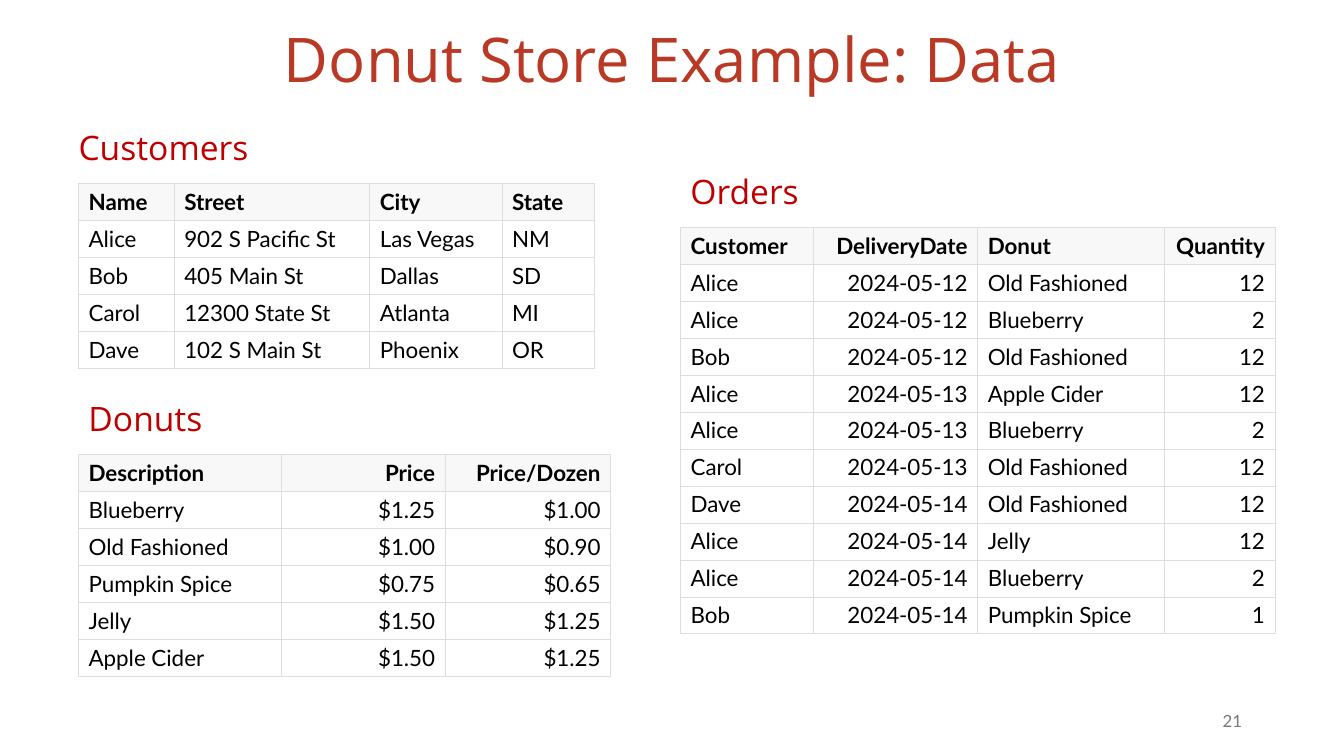
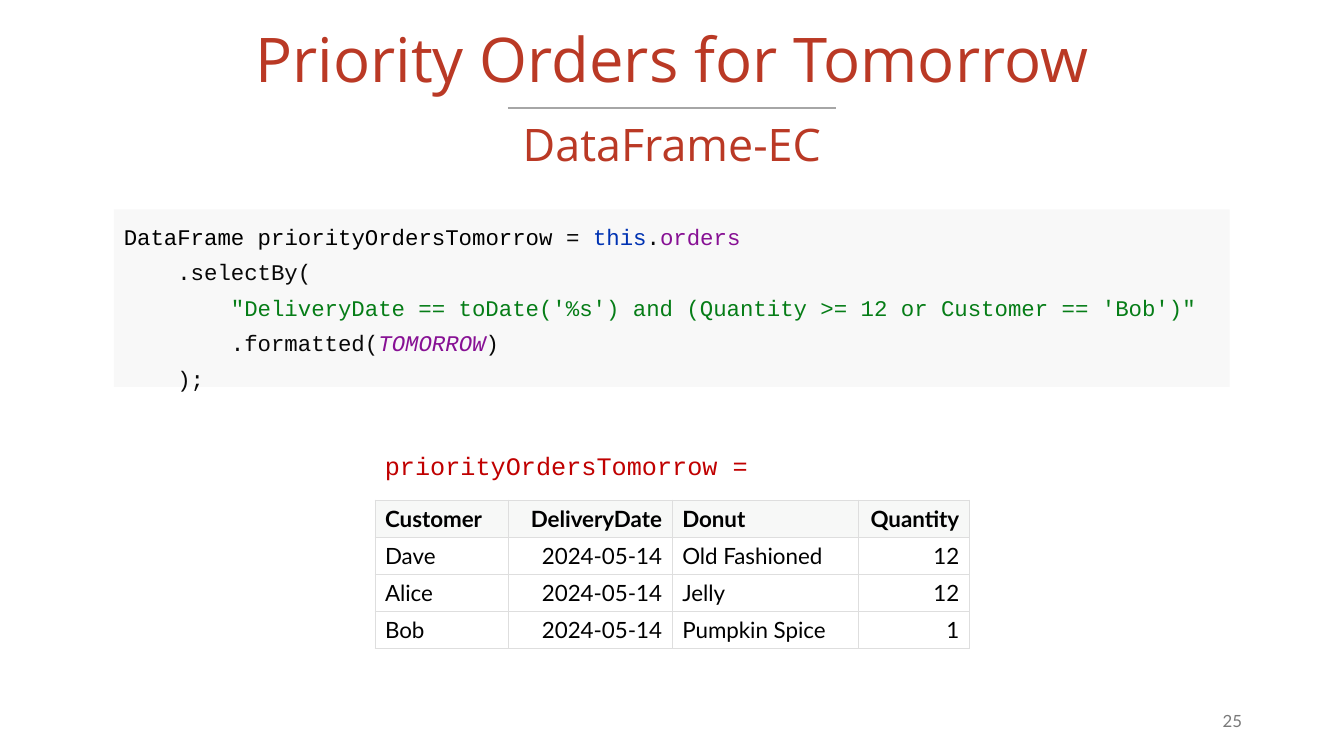
from dataclasses import dataclass

from lxml.etree import SubElement
from pptx import Presentation
from pptx.dml.color import RGBColor as Rgb
from pptx.enum.shapes import MSO_CONNECTOR as Connector, MSO_SHAPE as Shape
from pptx.enum.text import MSO_ANCHOR as Anchor, PP_ALIGN as Align
from pptx.oxml.ns import qn
from pptx.util import Cm, Pt


@dataclass(frozen=True)
class Theme:
    """Colours, fonts, type sizes and shared measures (in cm) of the deck."""
    title: str = "BA3925"
    caption: str = "C00000"
    text: str = "000000"
    page: str = "797979"
    rule: str = "A6A6A6"
    border: str = "DEDEDE"
    header_fill: str = "F7F8F7"
    body_fill: str = "FFFFFF"
    code_fill: str = "F8F8F8"
    plain: str = "080808"
    keyword: str = "0033B3"
    member: str = "871094"
    string: str = "067D17"
    display: str = "Open Sans"
    body: str = "Lato"
    mono: str = "Courier New"
    title_size: int = 44
    subtitle_size: int = 32
    caption_size: int = 24
    result_size: int = 18
    body_size: int = 16
    page_size: int = 12
    title_spacing: float = 0.9
    code_spacing: float = 1.32
    code_indent: float = 1.35
    row_height: float = 0.93
    border_width: float = 0.6


THEME = Theme()
ALIGNS = {"l": Align.LEFT, "c": Align.CENTER, "r": Align.RIGHT}
ORDER_COLUMNS = (3.35, 4.14, 4.7, 2.79)
ORDER_ALIGNS = "lrlr"
ORDER_HEADER = ("Customer", "DeliveryDate", "Donut", "Quantity")

CUSTOMERS = (
    ("Name", "Street", "City", "State"),
    ("Alice", "902 S Pacific St", "Las Vegas", "NM"),
    ("Bob", "405 Main St", "Dallas", "SD"),
    ("Carol", "12300 State St", "Atlanta", "MI"),
    ("Dave", "102 S Main St", "Phoenix", "OR"),
)
DONUTS = (
    ("Description", "Price", "Price/Dozen"),
    ("Blueberry", "$1.25", "$1.00"),
    ("Old Fashioned", "$1.00", "$0.90"),
    ("Pumpkin Spice", "$0.75", "$0.65"),
    ("Jelly", "$1.50", "$1.25"),
    ("Apple Cider", "$1.50", "$1.25"),
)
ORDERS = (
    ORDER_HEADER,
    ("Alice", "2024-05-12", "Old Fashioned", "12"),
    ("Alice", "2024-05-12", "Blueberry", "2"),
    ("Bob", "2024-05-12", "Old Fashioned", "12"),
    ("Alice", "2024-05-13", "Apple Cider", "12"),
    ("Alice", "2024-05-13", "Blueberry", "2"),
    ("Carol", "2024-05-13", "Old Fashioned", "12"),
    ("Dave", "2024-05-14", "Old Fashioned", "12"),
    ("Alice", "2024-05-14", "Jelly", "12"),
    ("Alice", "2024-05-14", "Blueberry", "2"),
    ("Bob", "2024-05-14", "Pumpkin Spice", "1"),
)
PRIORITY_ORDERS = (
    ORDER_HEADER,
    ("Dave", "2024-05-14", "Old Fashioned", "12"),
    ("Alice", "2024-05-14", "Jelly", "12"),
    ("Bob", "2024-05-14", "Pumpkin Spice", "1"),
)
CODE = (
    (0, (("DataFrame priorityOrdersTomorrow ", THEME.text), ("= ", THEME.plain),
         ("this", THEME.keyword), (".", THEME.plain), ("orders", THEME.member))),
    (1, ((".selectBy(", THEME.plain),)),
    (2, (("\"DeliveryDate == toDate('%s') and (Quantity >= 12 or Customer == 'Bob')\"",
          THEME.string),)),
    (2, ((".formatted(", THEME.plain), ("TOMORROW", THEME.member, True),
         (")", THEME.plain))),
    (1, ((");", THEME.plain),)),
)


def add_run(paragraph, words, font_name, size, color, bold=False, italic=False):
    """Append one formatted run to a paragraph."""
    run = paragraph.add_run()
    run.text = words
    font = run.font
    font.name, font.size = font_name, Pt(size)
    font.bold, font.italic = bold, italic
    font.color.rgb = Rgb.from_string(color)


def add_label(slide, box, words, font_name, size, color,
              align="l", anchor=Anchor.TOP, spacing=1.0):
    """Place a one-line text box."""
    frame = slide.shapes.add_textbox(*map(Cm, box)).text_frame
    frame.word_wrap = True
    frame.vertical_anchor = anchor
    paragraph = frame.paragraphs[0]
    paragraph.alignment = ALIGNS[align]
    paragraph.line_spacing = spacing
    add_run(paragraph, words, font_name, size, color)


def add_frame(deck, title, page):
    """Add a blank slide with the shared title and page number."""
    slide = deck.slides.add_slide(deck.slide_layouts[6])
    add_label(slide, (2.34, 0.5, 29.21, 2.16), title, THEME.display, THEME.title_size,
              THEME.title, "c", Anchor.MIDDLE, THEME.title_spacing)
    add_label(slide, (23.93, 17.65, 7.62, 1.02), page, THEME.body, THEME.page_size,
              THEME.page, "r", Anchor.MIDDLE)
    return slide


def add_subtitle(slide, box, words):
    """Place the subtitle under a centred hairline at the top of its box."""
    left, top, width, _ = box
    inset = 1.34
    add_label(slide, box, words, THEME.display, THEME.subtitle_size, THEME.title,
              "c", Anchor.MIDDLE, THEME.title_spacing)
    rule = slide.shapes.add_connector(
        Connector.STRAIGHT, Cm(left + inset), Cm(top), Cm(left + width - inset), Cm(top))
    rule.line.color.rgb = Rgb.from_string(THEME.rule)
    rule.line.width = Pt(1)
    SubElement(rule._element.spPr, qn("a:effectLst"))


def border_cell(cell):
    """Draw the thin border on all four sides of a cell."""
    properties = cell._tc.get_or_add_tcPr()
    for position, side in enumerate(("a:lnL", "a:lnR", "a:lnT", "a:lnB")):
        edge = properties.makeelement(qn(side), {"w": str(Pt(THEME.border_width))})
        fill = SubElement(edge, qn("a:solidFill"))
        SubElement(fill, qn("a:srgbClr"), val=THEME.border)
        properties.insert(position, edge)


def add_data_table(slide, left, top, columns, aligns, rows):
    """Place a bordered table whose first row is the header."""
    table = slide.shapes.add_table(
        len(rows), len(columns), Cm(left), Cm(top),
        Cm(sum(columns)), Cm(THEME.row_height * len(rows))).table
    table.horz_banding = False
    for column, width in zip(table.columns, columns):
        column.width = Cm(width)
    for row_index, (row, entries) in enumerate(zip(table.rows, rows)):
        row.height = Cm(THEME.row_height)
        is_header = row_index == 0
        for cell, entry, align in zip(row.cells, entries, aligns):
            cell.fill.solid()
            cell.fill.fore_color.rgb = Rgb.from_string(
                THEME.header_fill if is_header else THEME.body_fill)
            border_cell(cell)
            paragraph = cell.text_frame.paragraphs[0]
            paragraph.alignment = ALIGNS[align]
            add_run(paragraph, entry, THEME.body, THEME.body_size, THEME.text, is_header)


def add_relation(slide, left, top, name, columns, aligns, rows, outdent=0.0):
    """Place a data table with its name above it."""
    add_label(slide, (left - outdent, top - 1.55, 8.64, 1.27), name,
              THEME.display, THEME.caption_size, THEME.caption)
    add_data_table(slide, left, top, columns, aligns, rows)


def add_code(slide, box, lines):
    """Place a shaded block of coloured, indented code lines."""
    panel = slide.shapes.add_shape(Shape.RECTANGLE, *map(Cm, box))
    panel.shadow.inherit = False
    panel.fill.solid()
    panel.fill.fore_color.rgb = Rgb.from_string(THEME.code_fill)
    panel.line.fill.background()
    frame = panel.text_frame
    frame.word_wrap = True
    frame.vertical_anchor = Anchor.TOP
    for index, (depth, tokens) in enumerate(lines):
        paragraph = frame.add_paragraph() if index else frame.paragraphs[0]
        paragraph.alignment = Align.LEFT
        paragraph.line_spacing = THEME.code_spacing
        paragraph._p.get_or_add_pPr().set("marL", str(Cm(THEME.code_indent * depth)))
        for words, color, *italic in tokens:
            add_run(paragraph, words, THEME.mono, THEME.body_size, color,
                    italic=bool(italic))


def add_result(slide, left, top, name, rows):
    """Place the variable name and the order table it holds."""
    add_data_table(slide, left, top, ORDER_COLUMNS, ORDER_ALIGNS, rows)
    add_label(slide, (left, top - 1.37, 9.96, 1.02), name,
              THEME.mono, THEME.result_size, THEME.caption)


def build_data_slide(deck):
    """Build the slide with the three store tables."""
    slide = add_frame(deck, "Donut Store Example: Data", "21")
    add_relation(slide, 1.98, 4.62, "Customers", (2.41, 4.93, 3.33, 2.34), "llll",
                 CUSTOMERS, outdent=0.25)
    add_relation(slide, 1.98, 11.46, "Donuts", (5.11, 4.13, 4.17), "lrr", DONUTS)
    add_relation(slide, 17.15, 5.72, "Orders", ORDER_COLUMNS, ORDER_ALIGNS, ORDERS)


def build_query_slide(deck):
    """Build the slide with the query code and its result."""
    slide = add_frame(deck, "Priority Orders for Tomorrow", "25")
    add_subtitle(slide, (11.46, 2.72, 10.95, 1.96), "DataFrame-EC")
    add_code(slide, (2.87, 5.28, 28.12, 4.47), CODE)
    add_result(slide, 9.45, 12.6, "priorityOrdersTomorrow =", PRIORITY_ORDERS)


def main():
    """Build and save the deck."""
    deck = Presentation()
    deck.slide_width, deck.slide_height = Cm(33.87), Cm(19.05)
    build_data_slide(deck)
    build_query_slide(deck)
    deck.save("out.pptx")


if __name__ == "__main__":
    main()
